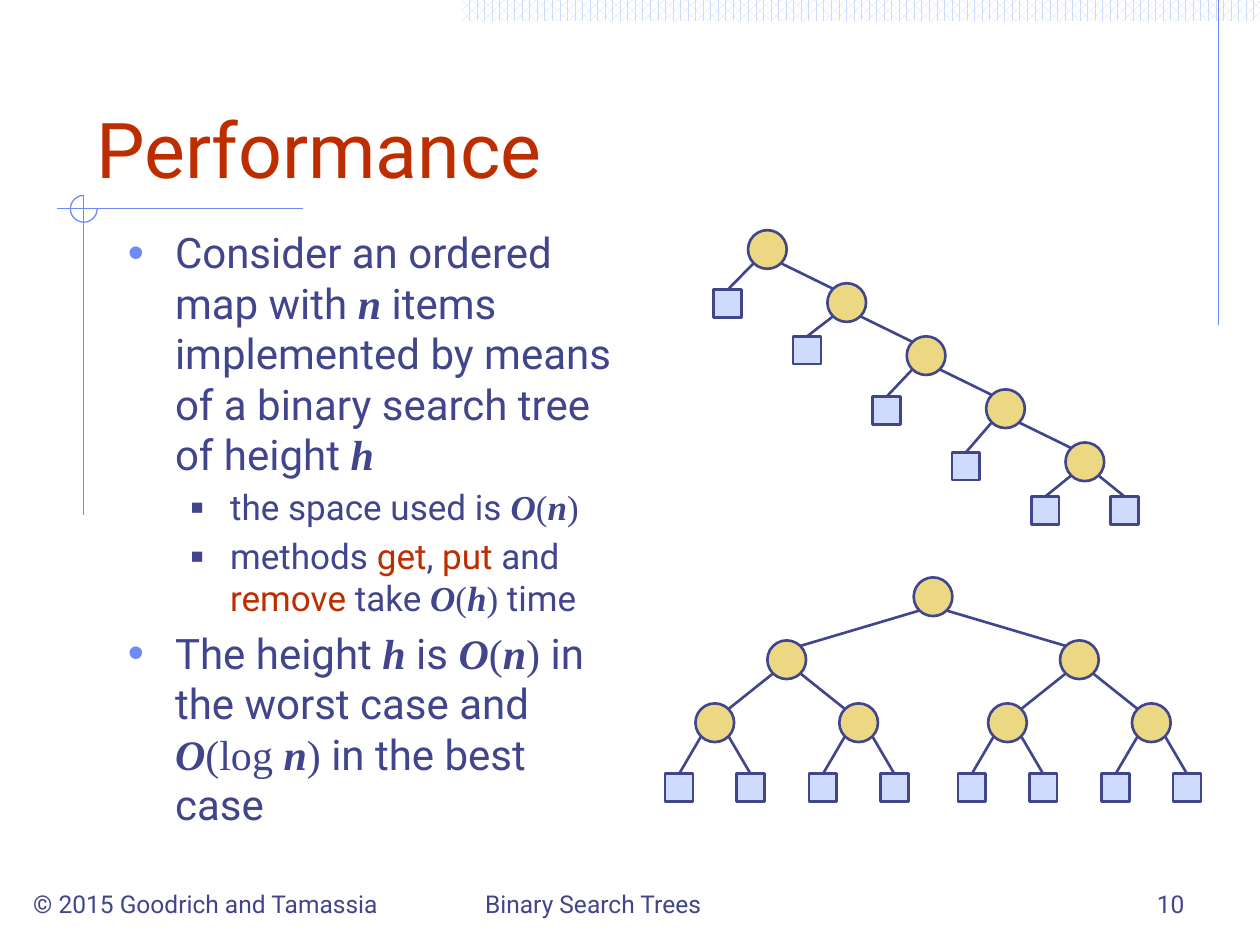
from lxml.etree import SubElement
from pptx import Presentation
from pptx.dml.color import RGBColor
from pptx.enum.dml import MSO_PATTERN as Pattern
from pptx.enum.shapes import MSO_CONNECTOR as Connector, MSO_SHAPE as Shape
from pptx.enum.text import MSO_ANCHOR as Anchor, PP_ALIGN as Align
from pptx.oxml.ns import qn
from pptx.util import Cm, Pt

INK = RGBColor(0x40, 0x45, 0x8C)
RED = RGBColor(0xBE, 0x2D, 0x00)
BLUE = RGBColor(0x6F, 0x89, 0xF7)
PALE = RGBColor(0xCF, 0xDB, 0xFD)
GOLD = RGBColor(0xEC, 0xD8, 0x82)
WHITE = RGBColor(0xFF, 0xFF, 0xFF)

# Content: a paragraph is a list of (text, style) spans
STYLES = {
    "plain": dict(font="Roboto"),
    "method": dict(font="Roboto", color=RED),
    "math": dict(font="Times New Roman"),
    "symbol": dict(font="Times New Roman", strong=True),
}


def big_o(*inside):
    return [("O", "symbol"), ("(", "math"), *inside, (")", "math")]


N, H = ("n", "symbol"), ("h", "symbol")
BODY = [
    (0, [("Consider an ordered map with ", "plain"), N,
         (" items implemented by means of a binary search tree of height ", "plain"), H]),
    (1, [("the space used is ", "plain"), *big_o(N)]),
    (1, [("methods ", "plain"), ("get", "method"), (", ", "plain"), ("put ", "method"),
         ("and ", "plain"), ("remove", "method"), (" take ", "plain"), *big_o(H),
         (" time", "plain")]),
    (0, [("The height ", "plain"), H, (" is ", "plain"), *big_o(N),
         (" in the worst case and ", "plain"), *big_o(("log ", "math"), N),
         (" in the best case", "plain")]),
]
# Bullet levels: size, indent in cm, space before, bullet
LEVELS = [
    dict(size=24, left=0.95, hang=0.95, before=4.8, bullet=("•", BLUE, 110)),
    dict(size=20, left=2.06, hang=0.79, before=4, bullet=("■", INK, 60)),
]
FOOTERS = [  # text, left, width, alignment
    ("© 2015 Goodrich and Tamassia", 0.42, 9.53, Align.LEFT),
    ("Binary Search Trees", 9.53, 8.04, Align.LEFT),
    ("10", 18.2, 5.93, Align.RIGHT),
]
RULES = [  # decorative lines: x1, y1, x2, y2
    (24.56, 0, 24.56, 6.55),
    (6.1, 4.21, 1.14, 4.21),
    (1.69, 3.94, 1.69, 10.39),
]

# Trees, in cm
SKEW_START, SKEW_STEP, SKEW_LEAF_DX = (15.47, 5.03), (1.6, 1.07), 0.8
SKEW_LEAF_Y = [6.12, 7.06, 8.28, 9.4, 10.29]
BALANCED_Y = [12.03, 13.3, 14.57, 15.88]
BALANCED_DX = [2.95, 1.45, 0.72]
NODE, LEAF = 0.78, 0.56

deck = Presentation()
deck.slide_width, deck.slide_height = Cm(25.4), Cm(19.05)
page = deck.slides.add_slide(deck.slide_layouts[6])


def set_bullet(para, left, hang, bullet):
    sign, color, percent = bullet
    props = para._p.get_or_add_pPr()
    props.set("marL", str(Cm(left)))
    props.set("indent", str(-Cm(hang)))
    holder = SubElement(props, qn("a:buClr"))
    SubElement(holder, qn("a:srgbClr"), val=str(color))
    SubElement(props, qn("a:buSzPct"), val=str(percent * 1000))
    SubElement(props, qn("a:buFont"), typeface="Arial")
    SubElement(props, qn("a:buChar"), char=sign)


def add_span(para, text, size, font="Roboto", color=INK, strong=False):
    span = para.add_run()
    span.text = text
    span.font.size, span.font.name = Pt(size), font
    span.font.bold = span.font.italic = strong
    span.font.color.rgb = color


def add_text(text, left, top, width, height, size=14, color=INK,
             align=Align.LEFT, anchor=Anchor.BOTTOM):
    """Add a text box; text is a string or a list of (level, spans)."""
    frame = page.shapes.add_textbox(Cm(left), Cm(top), Cm(width), Cm(height)).text_frame
    frame.word_wrap, frame.vertical_anchor = True, anchor
    if isinstance(text, str):
        frame.paragraphs[0].alignment = align
        add_span(frame.paragraphs[0], text, size, color=color)
        return
    for index, (level, spans) in enumerate(text):
        para = frame.add_paragraph() if index else frame.paragraphs[0]
        look = LEVELS[level]
        para.level, para.space_before = level, Pt(look["before"])
        set_bullet(para, look["left"], look["hang"], look["bullet"])
        for words, style in spans:
            add_span(para, words, look["size"], **STYLES[style])


def add_line(x1, y1, x2, y2, color=INK, weight=1.5):
    line = page.shapes.add_connector(Connector.STRAIGHT, Cm(x1), Cm(y1), Cm(x2), Cm(y2))
    line.line.color.rgb, line.line.width = color, Pt(weight)
    SubElement(line._element.spPr, qn("a:effectLst"))


def add_mark(kind, x, y, size, fill=None, color=INK, weight=1.5):
    """Add a shape centred on (x, y)."""
    mark = page.shapes.add_shape(kind, Cm(x - size / 2), Cm(y - size / 2), Cm(size), Cm(size))
    mark.shadow.inherit = False
    if fill is None:
        mark.fill.background()
    else:
        mark.fill.solid()
        mark.fill.fore_color.rgb = fill
    mark.line.color.rgb, mark.line.width = color, Pt(weight)
    return mark


# A tree is (x, y, children)
def skewed_tree(depth=0):
    x, y = (start + depth * step for start, step in zip(SKEW_START, SKEW_STEP))
    leaf_y = SKEW_LEAF_Y[depth]
    left = (x - SKEW_LEAF_DX, leaf_y, [])
    if depth + 1 < len(SKEW_LEAF_Y):
        return x, y, [left, skewed_tree(depth + 1)]
    return x, y, [left, (x + SKEW_LEAF_DX, leaf_y, [])]


def balanced_tree(x, depth=0):
    children = []
    if depth < len(BALANCED_DX):
        children = [balanced_tree(x + side * BALANCED_DX[depth], depth + 1) for side in (-1, 1)]
    return x, BALANCED_Y[depth], children


def draw_tree(tree):
    x, y, children = tree
    reach = NODE * 0.36  # edges meet a node on its diagonals
    for side, child in zip((-1, 1), children):
        child_x, child_y, inner = child
        end = (child_x - side * reach, child_y - reach) if inner else (child_x, child_y - LEAF / 2)
        add_line(x + side * reach, y + reach, *end)
        draw_tree(child)
    if children:
        add_mark(Shape.OVAL, x, y, NODE, GOLD)
    else:
        add_mark(Shape.RECTANGLE, x, y, LEAF, PALE)


# Decoration
band = page.shapes.add_shape(Shape.RECTANGLE, Cm(9.31), 0, Cm(16.09), Cm(0.42))
band.shadow.inherit = False
band.fill.patterned()
band.fill.pattern = Pattern.PERCENT_60
band.fill.fore_color.rgb, band.fill.back_color.rgb = PALE, WHITE
band.line.fill.background()
for rule in RULES:
    add_line(*rule, color=BLUE, weight=0.75)
arc = add_mark(Shape.ARC, 1.69, 4.21, 0.54, color=BLUE, weight=0.75)
arc.adjustments[0], arc.adjustments[1] = 0, 162  # from the right round to the top

# Text
add_text("Performance", 1.69, 0.85, 22.23, 3.18, size=44, color=RED)
add_text(BODY, 2.33, 4.45, 10.37, 12.9, anchor=Anchor.TOP)
for words, left, width, align in FOOTERS:
    add_text(words, left, 17.36, width, 1.27, align=align)

# Trees
draw_tree(skewed_tree())
draw_tree(balanced_tree(18.81))

deck.save("out.pptx")
